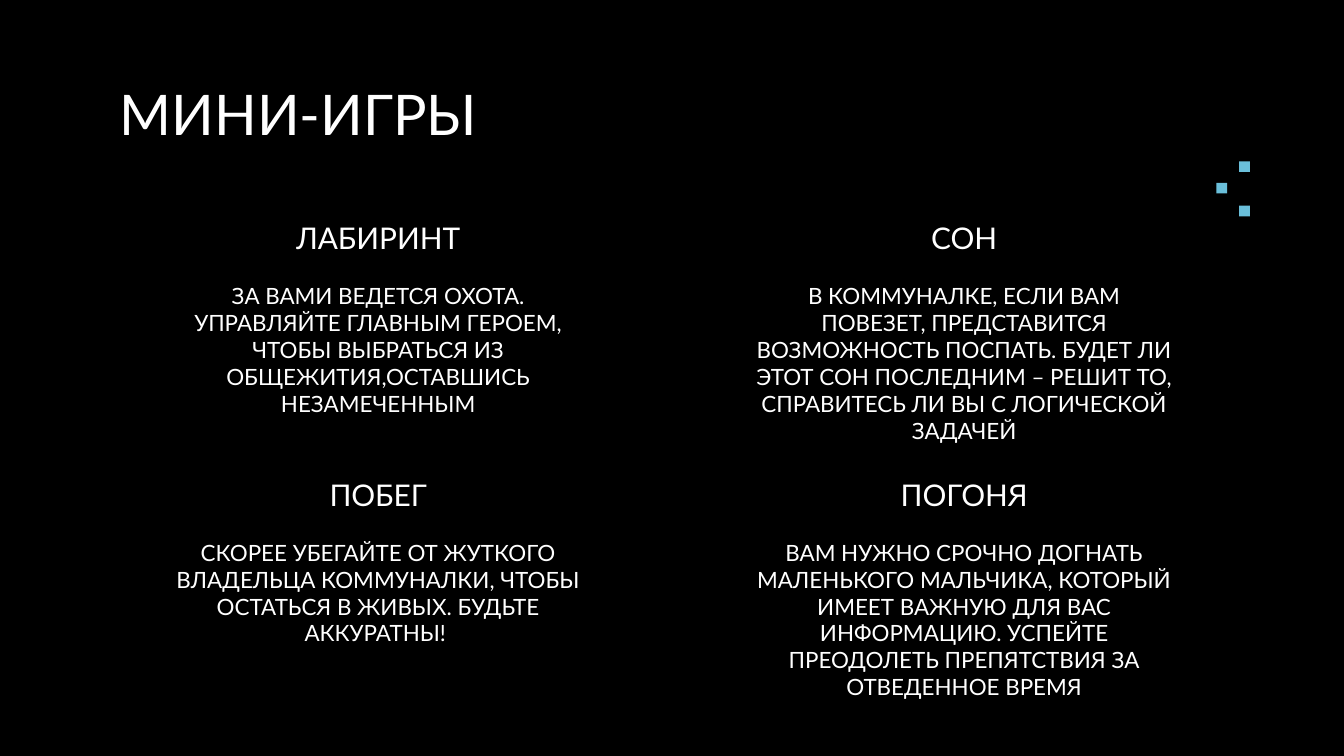
import pptx
import pptx.util
from pptx.dml.color import RGBColor
from pptx.enum.shapes import MSO_SHAPE
from pptx.enum.text import MSO_ANCHOR, MSO_AUTO_SIZE, PP_ALIGN
from pptx.util import Inches

BLACK = RGBColor(0x00, 0x00, 0x00)
WHITE = RGBColor(0xFF, 0xFF, 0xFF)
SKY = RGBColor(0x6A, 0xBF, 0xDA)
FONT = "Lato"

TITLE = "МИНИ-ИГРЫ"
GAMES = [
    ("ЛАБИРИНТ", "ЗА ВАМИ ВЕДЕТСЯ ОХОТА. УПРАВЛЯЙТЕ ГЛАВНЫМ ГЕРОЕМ, "
                 "ЧТОБЫ ВЫБРАТЬСЯ ИЗ ОБЩЕЖИТИЯ,ОСТАВШИСЬ НЕЗАМЕЧЕННЫМ"),
    ("СОН", "В КОММУНАЛКЕ, ЕСЛИ ВАМ ПОВЕЗЕТ, ПРЕДСТАВИТСЯ ВОЗМОЖНОСТЬ ПОСПАТЬ. "
            "БУДЕТ ЛИ ЭТОТ СОН ПОСЛЕДНИМ – РЕШИТ ТО, СПРАВИТЕСЬ ЛИ ВЫ "
            "С ЛОГИЧЕСКОЙ ЗАДАЧЕЙ"),
    ("ПОБЕГ", "СКОРЕЕ УБЕГАЙТЕ ОТ ЖУТКОГО ВЛАДЕЛЬЦА КОММУНАЛКИ, "
              "ЧТОБЫ ОСТАТЬСЯ В ЖИВЫХ. БУДЬТЕ АККУРАТНЫ! "),
    ("ПОГОНЯ", "ВАМ НУЖНО СРОЧНО ДОГНАТЬ МАЛЕНЬКОГО МАЛЬЧИКА, КОТОРЫЙ ИМЕЕТ "
               "ВАЖНУЮ ДЛЯ ВАС ИНФОРМАЦИЮ. УСПЕЙТЕ ПРЕОДОЛЕТЬ ПРЕПЯТСТВИЯ "
               "ЗА ОТВЕДЕННОЕ ВРЕМЯ"),
]
LEFT, TOP, COL_STEP, ROW_STEP = 1.15, 1.43, 4.36, 1.91
CARD_W, HEAD_H, BODY_H = 3.33, 0.57, 1.12
PIXELS = [(9.22, 1.2), (9.05, 1.36), (9.22, 1.53)]
PIXEL_SIZE = 0.08


def set_text(sp, text, size, align=PP_ALIGN.CENTER, anchor=MSO_ANCHOR.TOP):
    tf = sp.text_frame
    tf.word_wrap = True
    tf.auto_size = MSO_AUTO_SIZE.NONE
    tf.vertical_anchor = anchor
    tf.margin_left = tf.margin_right = tf.margin_top = tf.margin_bottom = Inches(0.1)
    p = tf.paragraphs[0]
    p.alignment = align
    r = p.add_run()
    r.text = text
    r.font.name = FONT
    r.font.size = pptx.util.Pt(size)
    r.font.color.rgb = WHITE


def add_text(s, x, y, w, h, text, size, **fmt):
    sp = s.shapes.add_textbox(Inches(x), Inches(y), Inches(w), Inches(h))
    set_text(sp, text, size, **fmt)


def main():
    prs = pptx.Presentation()
    prs.slide_width = Inches(10)
    prs.slide_height = prs.slide_width * 9 // 16
    s = prs.slides.add_slide(prs.slide_layouts.get_by_name("Title Only"))
    s.background.fill.solid()
    s.background.fill.fore_color.rgb = BLACK

    title = s.shapes.title
    title.left, title.top = Inches(0.79), Inches(0.49)
    title.width, title.height = Inches(8.43), Inches(0.63)
    set_text(title, TITLE, 30, align=PP_ALIGN.LEFT)

    for i, (name, description) in enumerate(GAMES):
        row, col = divmod(i, 2)
        x, y = LEFT + col * COL_STEP, TOP + row * ROW_STEP
        add_text(s, x, y, CARD_W, HEAD_H, name, 16, anchor=MSO_ANCHOR.BOTTOM)
        add_text(s, x, y + HEAD_H, CARD_W, BODY_H, description, 12)

    group = s.shapes.add_group_shape()
    for x, y in PIXELS:
        sp = group.shapes.add_shape(MSO_SHAPE.RECTANGLE, Inches(x), Inches(y),
                                    Inches(PIXEL_SIZE), Inches(PIXEL_SIZE))
        sp.shadow.inherit = False
        sp.fill.solid()
        sp.fill.fore_color.rgb = SKY
        sp.line.fill.background()

    prs.save("out.pptx")


if __name__ == "__main__":
    main()
